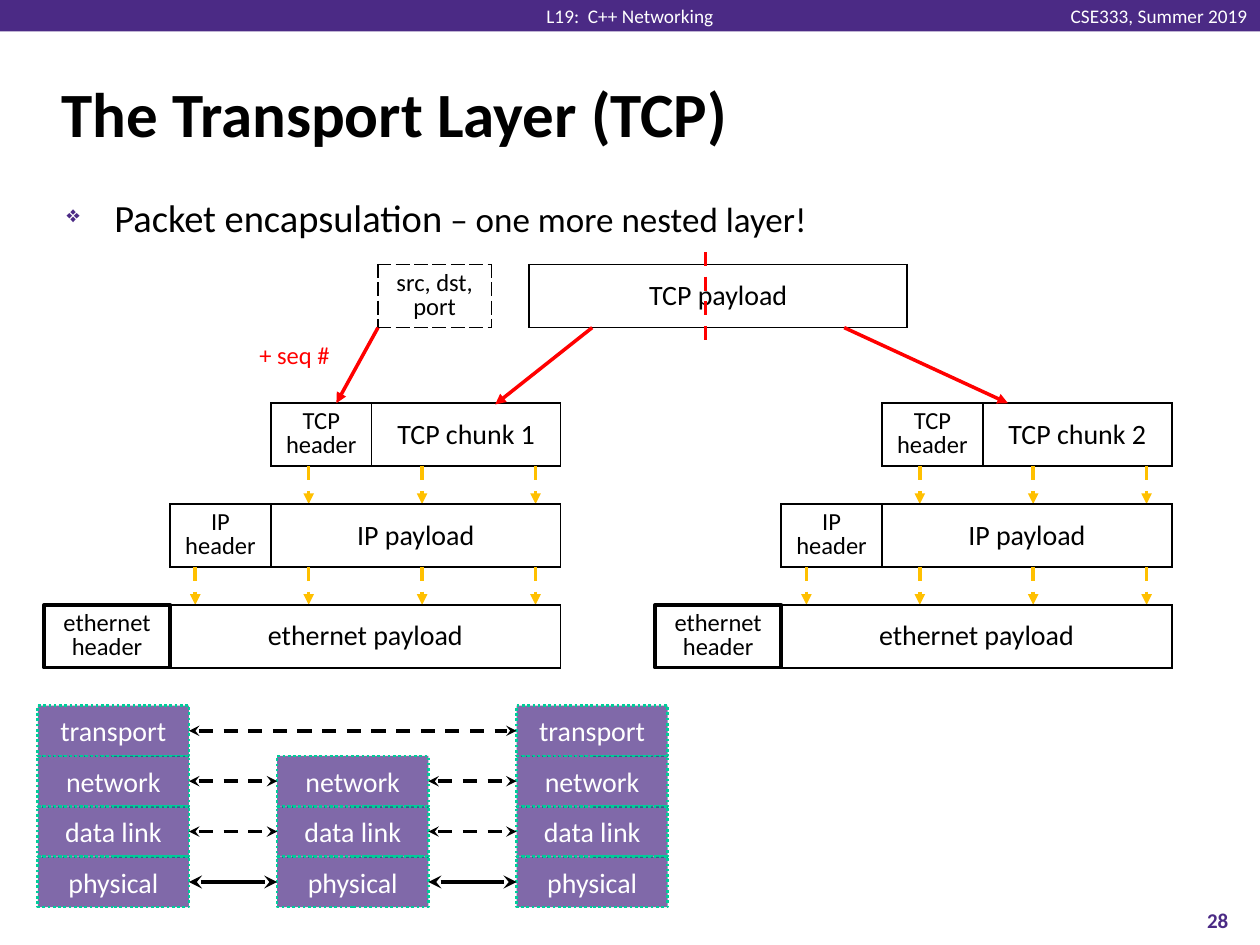
"""Build the slide on TCP packet encapsulation."""
from lxml import etree
from pptx import Presentation
from pptx.dml.color import RGBColor
from pptx.enum.dml import MSO_LINE
from pptx.enum.shapes import MSO_CONNECTOR, MSO_SHAPE
from pptx.enum.text import MSO_ANCHOR, PP_ALIGN
from pptx.oxml.ns import qn
from pptx.util import Inches, Pt

RECTANGLE = MSO_SHAPE.RECTANGLE
STRAIGHT = MSO_CONNECTOR.STRAIGHT
DASH, DOTS = MSO_LINE.DASH, MSO_LINE.ROUND_DOT
TOP, MIDDLE = MSO_ANCHOR.TOP, MSO_ANCHOR.MIDDLE
LEFT, CENTER, RIGHT = PP_ALIGN.LEFT, PP_ALIGN.CENTER, PP_ALIGN.RIGHT
LEFT_SITE, RIGHT_SITE = 1, 3

PURPLE = RGBColor(0x4B, 0x2A, 0x85)
GREEN = RGBColor(0x00, 0xCC, 0x99)
AMBER = RGBColor(0xFF, 0xC0, 0x00)
RED = RGBColor(0xFF, 0x00, 0x00)
BLACK = RGBColor(0x00, 0x00, 0x00)
WHITE = RGBColor(0xFF, 0xFF, 0xFF)

FONT = "Calibri"
ROW_HEIGHT = 0.5
PACKETS = [(4.45, "TCP chunk 1"), (9.3, "TCP chunk 2")]
PACKET_ROWS = [
    (3.2, "TCP header", 0.8, None, 1.5, 3),
    (4.0, "IP header", 0.8, "IP payload", 2.3, 4),
    (4.8, "ethernet\nheader", 1.0, "ethernet payload", 3.1, 0),
]
ARROW_INSET, ARROW_STEP, ARROW_LENGTH = 0.2, 0.9, 0.3
SPLIT_ARROWS = [((3, 2.6), (2.67, 3.2)), ((4.7, 2.6), (3.93, 3.21)), ((6.7, 2.6), (8, 3.2))]

LAYERS = ["transport", "network", "data link", "physical"]
STACKS = [(0.3, LAYERS), (2.2, LAYERS[1:]), (4.1, LAYERS)]
LAYER_WIDTH, LAYER_HEIGHT, STACK_TOP = 1.2, 0.4, 5.6


def add_run(paragraph, text, size, color, bold=False):
    run = paragraph.add_run()
    run.text = text
    run.font.name, run.font.size, run.font.bold = FONT, Pt(size), bold
    run.font.color.rgb = color


def add_text(slide, box, runs, color, align=LEFT, anchor=MIDDLE, bold=False,
             inset=0.05, wrap=True):
    frame = slide.shapes.add_textbox(*map(Inches, box)).text_frame
    frame.word_wrap, frame.vertical_anchor = wrap, anchor
    frame.margin_top = frame.margin_bottom = Inches(inset)
    paragraph = frame.paragraphs[0]
    paragraph.alignment = align
    for text, size in runs:
        add_run(paragraph, text, size, color, bold)
    return paragraph


def set_hanging(paragraph, indent):
    properties = paragraph._p.get_or_add_pPr()
    properties.set("marL", str(Inches(indent)))
    properties.set("indent", str(-Inches(indent)))
    return properties


def add_bullet(paragraph):
    properties = set_hanging(paragraph, 0.38)
    color = etree.SubElement(properties, qn("a:buClr"))
    etree.SubElement(color, qn("a:srgbClr"), val=str(PURPLE))
    etree.SubElement(properties, qn("a:buSzPct"), val="60000")
    etree.SubElement(properties, qn("a:buChar"), char="❖")


def add_line(slide, start, end, color, dash=None, width=2, head=None, tail=None):
    connector = slide.shapes.add_connector(STRAIGHT, *map(Inches, (*start, *end)))
    connector.line.color.rgb, connector.line.width = color, Pt(width)
    if dash:
        connector.line.dash_style = dash
    properties = connector._element.spPr
    outline = properties.find(qn("a:ln"))
    for tag, kind in (("a:headEnd", head), ("a:tailEnd", tail)):
        if kind:
            etree.SubElement(outline, qn(tag), type=kind)
    etree.SubElement(properties, qn("a:effectLst"))
    return connector


def add_box(slide, box, line_color=None, line_width=1, fill=None):
    shape = slide.shapes.add_shape(RECTANGLE, *map(Inches, box))
    shape.shadow.inherit = False
    if fill is None:
        shape.fill.background()
    else:
        shape.fill.solid()
        shape.fill.fore_color.rgb = fill
    if line_color is None:
        shape.line.fill.background()
    else:
        shape.line.color.rgb, shape.line.width = line_color, Pt(line_width)
    return shape


def set_borders(cell, styles):
    properties = cell._tc.get_or_add_tcPr()
    for index, (side, style) in enumerate(zip("LRTB", styles)):
        border = etree.Element(qn(f"a:ln{side}"), w=str(Pt(1)))
        if style:
            fill = etree.SubElement(border, qn("a:solidFill"))
            etree.SubElement(fill, qn("a:srgbClr"), val=str(BLACK))
            etree.SubElement(border, qn("a:prstDash"), val=style)
        else:
            etree.SubElement(border, qn("a:noFill"))
        properties.insert(index, border)


def add_packet_table(slide, left, top, cells):
    width = sum(cell[1] for cell in cells)
    table = slide.shapes.add_table(
        1, len(cells), *map(Inches, (left, top, width, ROW_HEIGHT))).table
    table.first_row = table.horz_banding = False
    for index, (text, cell_width, size, borders) in enumerate(cells):
        table.columns[index].width = Inches(cell_width)
        cell = table.cell(0, index)
        cell.vertical_anchor = MIDDLE
        cell.fill.background()
        set_borders(cell, borders)
        paragraph = cell.text_frame.paragraphs[0]
        paragraph.alignment = CENTER
        if size == 14:
            paragraph.line_spacing = 0.8
        for number, line in enumerate(text.split("\n") if text else []):
            if number:
                paragraph.add_line_break()
            add_run(paragraph, line, size, BLACK)


def add_packet(slide, right, chunk):
    solid = ["solid"] * 4
    for top, header, header_width, payload, payload_width, arrows in PACKET_ROWS:
        left = right - header_width - payload_width
        add_packet_table(slide, left, top, [
            (header, header_width, 14, solid), (payload or chunk, payload_width, 16, solid)])
        bottom = top + ROW_HEIGHT
        for index in range(arrows):
            x = right - ARROW_INSET - index * ARROW_STEP
            add_line(slide, (x, bottom), (x, bottom + ARROW_LENGTH), AMBER, DASH,
                     tail="triangle")
    add_box(slide, (left, top, header_width, ROW_HEIGHT), BLACK, 2)


def add_layer(slide, left, name):
    top = STACK_TOP + LAYERS.index(name) * LAYER_HEIGHT
    shape = add_box(slide, (left, top, LAYER_WIDTH, LAYER_HEIGHT), GREEN, 1.5, PURPLE)
    shape.line.dash_style = DOTS
    color = shape._element.spPr.find(qn("a:solidFill")).find(qn("a:srgbClr"))
    etree.SubElement(color, qn("a:alpha"), val="70000")
    frame = shape.text_frame
    frame.margin_left = frame.margin_right = 0
    frame.vertical_anchor = MIDDLE
    paragraph = frame.paragraphs[0]
    paragraph.alignment = CENTER
    add_run(paragraph, name, 16, WHITE)
    return shape


def add_stacks(slide):
    previous = {}
    for left, names in STACKS:
        for name in names:
            shape = add_layer(slide, left, name)
            if name in previous:
                physical = name == "physical"
                link = add_line(slide, (0, 0), (1, 1), BLACK, None if physical else DASH,
                                2.5 if physical else 2, "stealth", "stealth")
                link.begin_connect(previous[name], RIGHT_SITE)
                link.end_connect(shape, LEFT_SITE)
            previous[name] = shape


def main():
    presentation = Presentation()
    presentation.slide_width, presentation.slide_height = Inches(10), Inches(7.5)
    slide = presentation.slides.add_slide(presentation.slide_layouts[6])

    add_box(slide, (0, 0, 10, 0.25), fill=PURPLE)
    add_text(slide, (8.38, 0.03, 1.62, 0.19), [("CSE333, Summer 2019", 11)], WHITE,
             RIGHT, inset=0, wrap=False)
    add_text(slide, (4.23, 0.03, 1.54, 0.19), [("L19:  C++ Networking", 11)], WHITE,
             CENTER, inset=0, wrap=False)
    title = add_text(slide, (0.39, 0.48, 9.19, 0.83), [("The Transport Layer (TCP)", 36)],
                     BLACK, bold=True)
    set_hanging(title, 0.13)
    body = add_text(slide, (0.43, 1.49, 9.15, 1), [
        ("Packet encapsulation", 22), (" – one more nested layer!", 20)], BLACK, anchor=TOP)
    body.space_before = Pt(4.4)
    add_bullet(body)
    add_text(slide, (9.33, 7.1, 0.67, 0.4), [("28", 12)], PURPLE, CENTER, bold=True)

    add_stacks(slide)
    for right, chunk in PACKETS:
        add_packet(slide, right, chunk)
    add_packet_table(slide, 3, 2.1, [
        ("src, dst, port", 0.9, 14, ["dash"] * 4),
        ("", 0.3, 16, ["dash", "solid", None, None]),
        ("TCP payload", 3, 16, ["solid"] * 4)])
    add_line(slide, (5.6, 2), (5.6, 2.7), RED, DASH)
    for start, end in SPLIT_ARROWS:
        add_line(slide, start, end, RED, tail="triangle")
    add_text(slide, (1.96, 2.65, 0.95, 0.34), [("+ seq #", 14)], RED, anchor=TOP)
    presentation.save("out.pptx")


if __name__ == "__main__":
    main()
